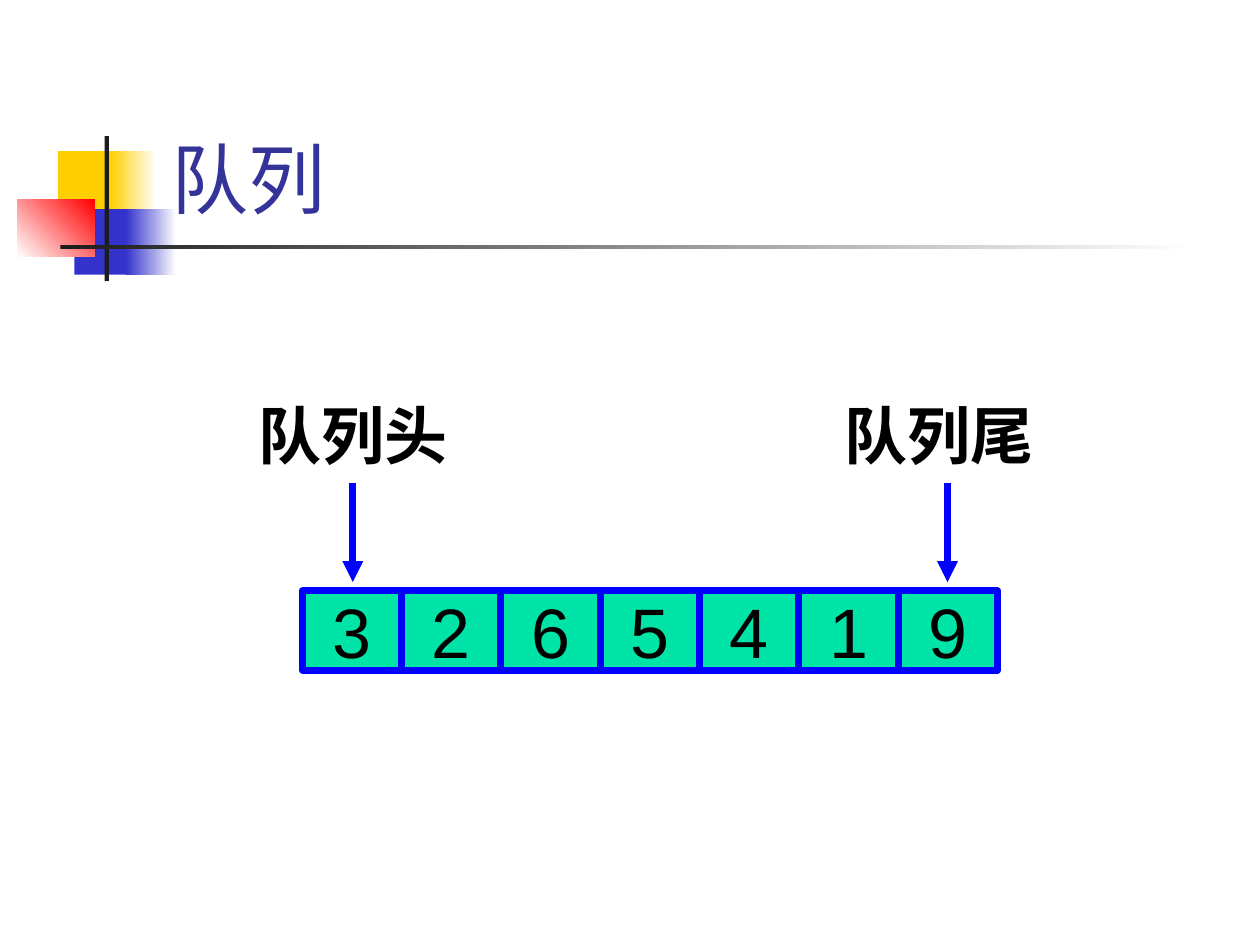
from pptx import Presentation
from pptx.dml.color import RGBColor
from pptx.enum.shapes import MSO_CONNECTOR, MSO_SHAPE
from pptx.enum.text import MSO_ANCHOR, MSO_AUTO_SIZE, PP_ALIGN
from pptx.oxml.ns import qn
from pptx.util import Inches, Pt
from lxml.etree import SubElement

WHITE = RGBColor(0xFF, 0xFF, 0xFF)
BLACK = RGBColor(0x00, 0x00, 0x00)
CHARCOAL = RGBColor(0x1C, 0x1C, 0x1C)
YELLOW = RGBColor(0xFF, 0xCF, 0x01)
RED = RGBColor(0xFF, 0x00, 0x00)
INDIGO = RGBColor(0x33, 0x33, 0xCC)
TITLE_BLUE = RGBColor(0x33, 0x33, 0x99)
BLUE = RGBColor(0x00, 0x00, 0xFF)
GREEN = RGBColor(0x00, 0xE4, 0xA8)

COLUMNS, ROWS = 100, 75


class QueueSlide:
    title_font = "Roboto"
    body_font = "Arial"
    line_width = Pt(4)

    def __init__(self, presentation):
        self.column = presentation.slide_width / COLUMNS
        self.row = presentation.slide_height / ROWS
        self.slide = presentation.slides.add_slide(presentation.slide_layouts[6])
        self.shapes = self.slide.shapes

    def point(self, column, row):
        return round(column * self.column), round(row * self.row)

    def box(self, column, row, columns, rows):
        return *self.point(column, row), *self.point(columns, rows)

    def rectangle(self, *area, color):
        shape = self.shapes.add_shape(MSO_SHAPE.RECTANGLE, *self.box(*area))
        shape.shadow.inherit = False
        shape.fill.solid()
        shape.fill.fore_color.rgb = color
        shape.line.fill.background()
        return shape

    def fade(self, *area, start, end, angle=0):
        shape = self.rectangle(*area, color=start)
        shape.fill.gradient()
        shape.fill.gradient_angle = angle
        for stop, color in zip(shape.fill.gradient_stops, (start, end)):
            stop.color.rgb = color

    def set_text(self, shape, text, size, color=BLACK, font=body_font, bold=False,
                 align=PP_ALIGN.CENTER, anchor=MSO_ANCHOR.TOP, wrap=False):
        frame = shape.text_frame
        frame.word_wrap = wrap
        frame.vertical_anchor = anchor
        paragraph = frame.paragraphs[0]
        paragraph.text = text
        paragraph.alignment = align
        paragraph.font.name = font
        paragraph.font.size = Pt(size)
        paragraph.font.bold = bold
        paragraph.font.color.rgb = color

    def title(self, *area, text):
        shape = self.shapes.add_textbox(*self.box(*area))
        self.set_text(shape, text, 44, TITLE_BLUE, self.title_font,
                      align=PP_ALIGN.LEFT, anchor=MSO_ANCHOR.BOTTOM, wrap=True)

    def label(self, *area, text):
        shape = self.shapes.add_textbox(*self.box(*area))
        self.set_text(shape, text, 36, bold=True)
        shape.text_frame.auto_size = MSO_AUTO_SIZE.SHAPE_TO_FIT_TEXT

    def cell(self, *area, text):
        shape = self.rectangle(*area, color=GREEN)
        shape.line.color.rgb = BLUE
        shape.line.width = self.line_width
        self.set_text(shape, text, 40, anchor=MSO_ANCHOR.MIDDLE)

    def down_arrow(self, column, top, bottom):
        connector = self.shapes.add_connector(
            MSO_CONNECTOR.STRAIGHT, *self.point(column, top), *self.point(column, bottom))
        connector.line.color.rgb = BLUE
        connector.line.width = self.line_width
        properties = connector._element.spPr
        SubElement(properties.find(qn("a:ln")), qn("a:tailEnd"), type="triangle")
        SubElement(properties, qn("a:effectLst"))

    def ornament(self):
        self.rectangle(4.6, 12, 4.8, 5.2, color=YELLOW)
        self.fade(8.8, 12, 3.6, 5.2, start=YELLOW, end=WHITE)
        self.rectangle(5.9, 16.6, 4.6, 5.2, color=INDIGO)
        self.fade(10, 16.6, 4, 5.2, start=INDIGO, end=WHITE)
        self.fade(1.4, 15.8, 6.1, 4.6, start=WHITE, end=RED, angle=45)
        self.rectangle(8.3, 10.8, 0.35, 11.5, color=CHARCOAL)
        self.fade(4.8, 19.45, 90, 0.35, start=CHARCOAL, end=WHITE)

    def queue(self, values, left=24, top=46.9, width=7.88, height=6.3):
        for index, value in enumerate(values):
            self.cell(left + index * width, top, width, height, text=value)


def main():
    presentation = Presentation()
    presentation.slide_width = Inches(10)
    presentation.slide_height = Inches(7.5)
    page = QueueSlide(presentation)
    page.ornament()
    page.title(12.6, 2.3, 85.2, 16, text="队列")
    page.queue("3265419")
    for text, label_left, arrow_column in (("队列头", 19.5, 28), ("队列尾", 66, 75.2)):
        page.down_arrow(arrow_column, 38.3, 46.2)
        page.label(label_left, 31, 17, 7, text=text)
    presentation.save("out.pptx")


if __name__ == "__main__":
    main()
